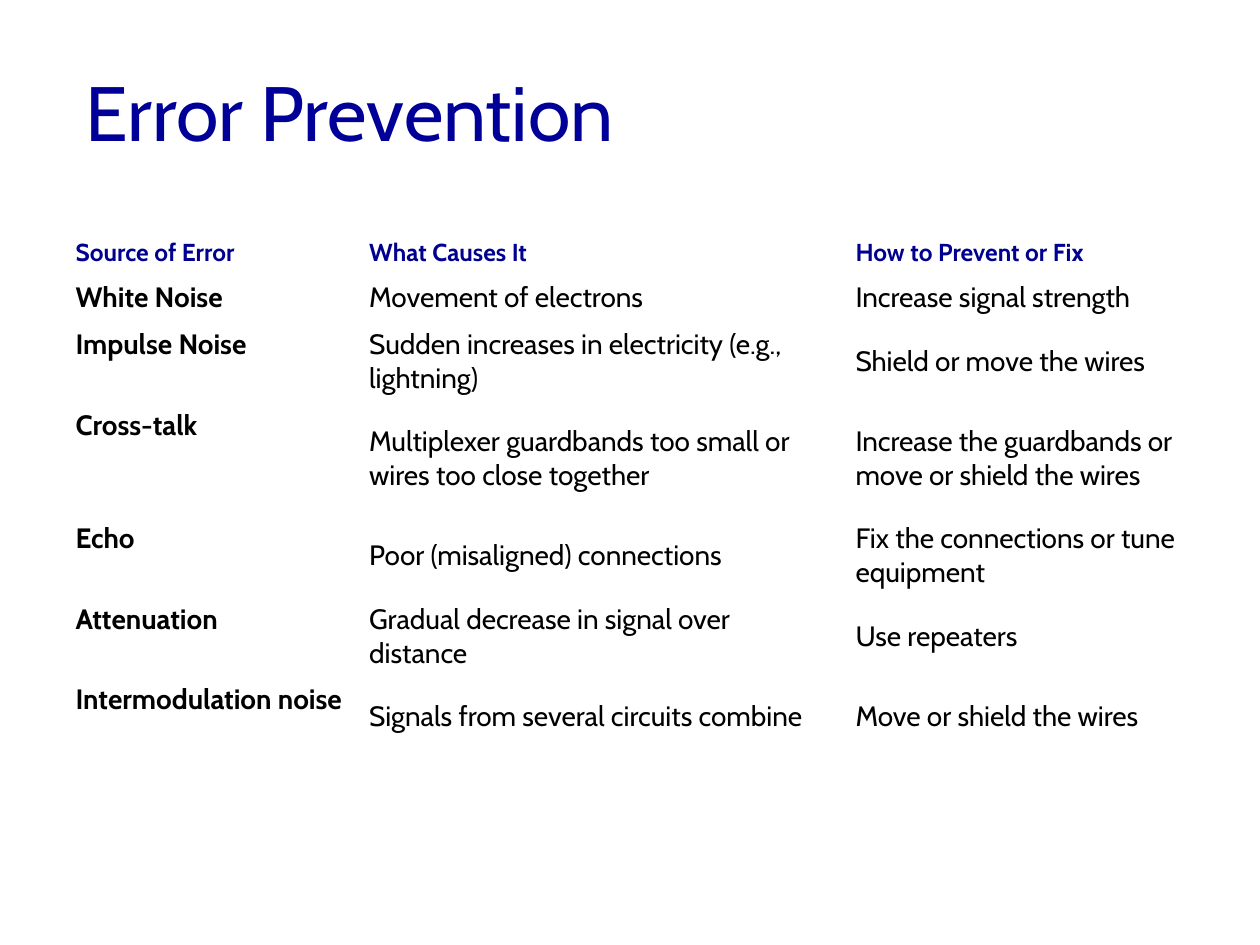
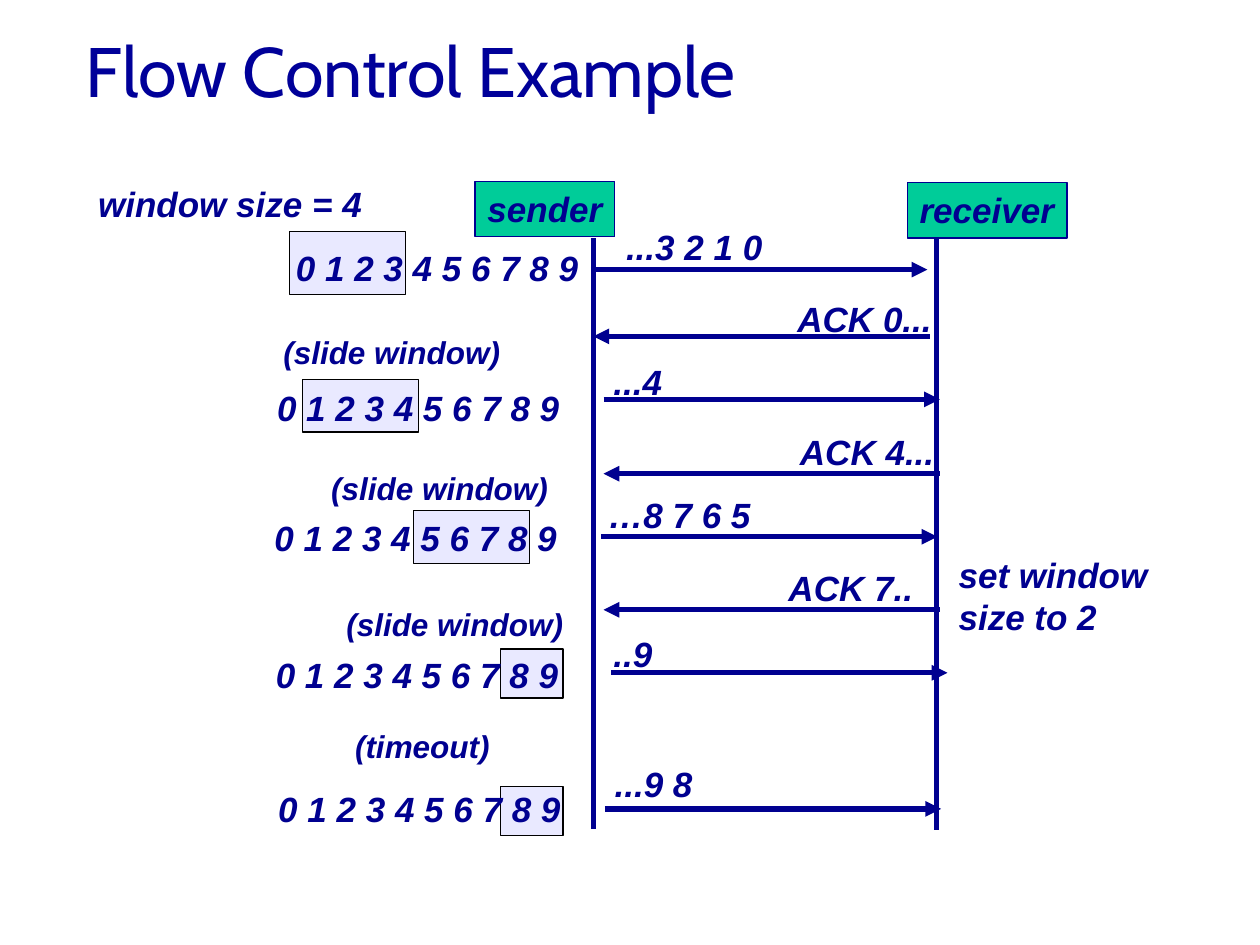
"""Build two slides on error prevention and flow control."""
from lxml.etree import SubElement
from pptx import Presentation
from pptx.dml.color import RGBColor
from pptx.enum.shapes import MSO_CONNECTOR, MSO_SHAPE
from pptx.enum.text import MSO_ANCHOR, MSO_AUTO_SIZE, PP_ALIGN
from pptx.oxml.ns import qn
from pptx.util import Inches, Pt

HEAD, BODY = "Cabin", "Arial"
BLUE, NAVY, GREEN, PALE = "000099", "000090", "00CC99", "E9E9FF"
BLACK, WHITE = "000000", "FFFFFF"
DIGITS = "0 1 2 3 4 5 6 7 8 9"
REACH = 2.67

ERRORS = [
    ("Source of Error", "What Causes It", "How to Prevent or Fix"),
    ("White Noise", "Movement of electrons", "Increase signal strength"),
    ("Impulse Noise", "Sudden increases in electricity (e.g., lightning)",
     "Shield or move the wires"),
    ("Cross-talk", "Multiplexer guardbands too small or wires too close together",
     "Increase the guardbands or move or shield the wires"),
    ("Echo", "Poor (misaligned) connections",
     "Fix the connections or tune equipment"),
    ("Attenuation", "Gradual decrease in signal over distance", "Use repeaters"),
    ("Intermodulation noise", "Signals from several circuits combine",
     "Move or shield the wires"),
]
COLS = (2.33, 3.86, 2.89)
ROWS = (0.34, 0.37, 0.64, 0.9, 0.64, 0.64, 0.64)

# Window box (left, top, width, height), then left and top of the digits.
WINDOWS = [
    ((2.3, 1.84, 0.92, 0.5), 2.25, 1.91),
    ((2.4, 3.01, 0.92, 0.42), 2.1, 3.02),
    ((3.28, 4.05, 0.92, 0.42), 2.08, 4.05),
    ((3.97, 5.15, 0.5, 0.39), 2.09, 5.14),
    ((3.97, 6.24, 0.5, 0.39), 2.11, 6.2),
]
# Text, left, top and width of the label, then left and height of the arrow.
SENT = [
    ("...3 2 1 0", 4.87, 1.74, 1.29, 4.69, 2.14),
    ("...4", 4.77, 2.81, 0.6, 4.79, 3.17),
    ("…8 7 6 5", 4.73, 3.87, 1.34, 4.77, 4.26),
    ("..9", 4.77, 4.97, 0.58, 4.85, 5.34),
    ("...9 8", 4.78, 6, 0.83, 4.8, 6.42),
]
ACKS = [
    ("ACK 0...", 6.23, 2.31, 1.28, 4.71, 2.67),
    ("ACK 4...", 6.25, 3.37, 1.28, 4.79, 3.76),
    ("ACK 7..", 6.16, 4.45, 1.2, 4.79, 4.84),
]
NOTES = [
    ("(slide window)", 2.15, 2.59, 1.92),
    ("(slide window)", 2.53, 3.67, 1.92),
    ("(slide window)", 2.65, 4.75, 1.92),
    ("(timeout)", 2.72, 5.72, 1.27),
]


def rgb(code):
    """Turn a hex string into a colour."""
    return RGBColor.from_string(code)


def style(para, size, color, name=BODY, bold=True, slant=False):
    """Set the font of a paragraph."""
    font = para.font
    font.size, font.name, font.bold, font.italic = Pt(size), name, bold, slant
    font.color.rgb = rgb(color)


def start(deck, text, top, size):
    """Add a slide with its title."""
    slide = deck.slides.add_slide(deck.slide_layouts[5])
    title = slide.shapes.title
    title.left, title.top = Inches(0.58), Inches(top)
    title.width, title.height = Inches(8.5), Inches(1.25)
    frame = title.text_frame
    frame.text, frame.vertical_anchor = text, MSO_ANCHOR.MIDDLE
    para = frame.paragraphs[0]
    para.alignment = PP_ALIGN.LEFT
    style(para, size, BLUE, HEAD, bold=False)
    return slide


def edge(cell):
    """Give a cell thin white borders."""
    props = cell._tc.get_or_add_tcPr()
    for side in ("lnL", "lnR", "lnT", "lnB"):
        line = SubElement(props, qn(f"a:{side}"), w=str(Pt(0.45)))
        fill = SubElement(line, qn("a:solidFill"))
        SubElement(fill, qn("a:srgbClr"), val=WHITE)


def grid(slide):
    """Add the table of errors."""
    frame = slide.shapes.add_table(
        len(ROWS), len(COLS), Inches(0.5), Inches(1.84),
        Inches(sum(COLS)), Inches(sum(ROWS)))
    table = frame.table
    for col, width in zip(table.columns, COLS):
        col.width = Inches(width)
    for r, (height, texts) in enumerate(zip(ROWS, ERRORS)):
        table.rows[r].height = Inches(height)
        for c, text in enumerate(texts):
            cell = table.cell(r, c)
            edge(cell)
            cell.fill.solid()
            cell.fill.fore_color.rgb = rgb(WHITE)
            cell.text = text
            label = r == 0 or c == 0
            cell.vertical_anchor = MSO_ANCHOR.TOP if label else MSO_ANCHOR.MIDDLE
            style(cell.text_frame.paragraphs[0], 16 if r else 14,
                  BLACK if r else NAVY, HEAD, bold=label)


def write(shape, text, size=20, wrap=False):
    """Put slanted bold text in a shape that grows with it."""
    frame = shape.text_frame
    frame.text, frame.word_wrap = text, wrap
    frame.auto_size = MSO_AUTO_SIZE.SHAPE_TO_FIT_TEXT
    frame.vertical_anchor = MSO_ANCHOR.TOP
    para = frame.paragraphs[0]
    para.alignment = PP_ALIGN.LEFT
    style(para, size, NAVY, slant=True)


def label(slide, text, left, top, width, height=0.44, size=20, wrap=False):
    """Add a text box."""
    box = slide.shapes.add_textbox(*map(Inches, (left, top, width, height)))
    write(box, text, size, wrap)


def block(slide, place, fill, line):
    """Add a filled rectangle."""
    shape = slide.shapes.add_shape(MSO_SHAPE.RECTANGLE, *map(Inches, place))
    shape.shadow.inherit = False
    shape.fill.solid()
    shape.fill.fore_color.rgb = rgb(fill)
    shape.line.color.rgb = rgb(line)
    shape.line.width = Pt(0.75)
    return shape


def rule(slide, ends, arrow=False):
    """Add a thick line, with an arrowhead if asked."""
    line = slide.shapes.add_connector(MSO_CONNECTOR.STRAIGHT, *map(Inches, ends))
    line.line.color.rgb = rgb(NAVY)
    line.line.width = Pt(3)
    if arrow:
        SubElement(line.line._get_or_add_ln(), qn("a:tailEnd"), type="triangle")
    SubElement(line._element.spPr, qn("a:effectLst"))


def party(slide, name, place, axis):
    """Add a named party and its time line."""
    write(block(slide, place, GREEN, NAVY), name)
    foot = place[1] + place[3] + 0.01
    rule(slide, (axis, foot, axis, foot + 4.69))


def flow(slide):
    """Add the sliding window exchange."""
    for place, left, top in WINDOWS:
        block(slide, place, PALE, BLACK)
        label(slide, DIGITS, left, top, 2.52)
    party(slide, "receiver", (7.2, 1.45, 1.27, 0.44), 7.43)
    party(slide, "sender", (3.77, 1.44, 1.11, 0.44), 4.71)
    for *words, left, high in SENT:
        rule(slide, (left, high, left + REACH, high), arrow=True)
        label(slide, *words)
    for *words, left, high in ACKS:
        rule(slide, (left + REACH, high, left, high), arrow=True)
        label(slide, *words)
    for note in NOTES:
        label(slide, *note, height=0.4, size=18)
    label(slide, "window size = 4", 0.68, 1.4, 3.12, wrap=True)
    label(slide, "set window size to 2", 7.51, 4.34, 1.7, 0.77, wrap=True)


def main():
    """Build and save the deck."""
    deck = Presentation()
    deck.slide_width, deck.slide_height = Inches(10), Inches(7.5)
    grid(start(deck, "Error Prevention", 0.25, 44))
    flow(start(deck, "Flow Control Example", -0.07, 40))
    deck.save("out.pptx")


if __name__ == "__main__":
    main()
